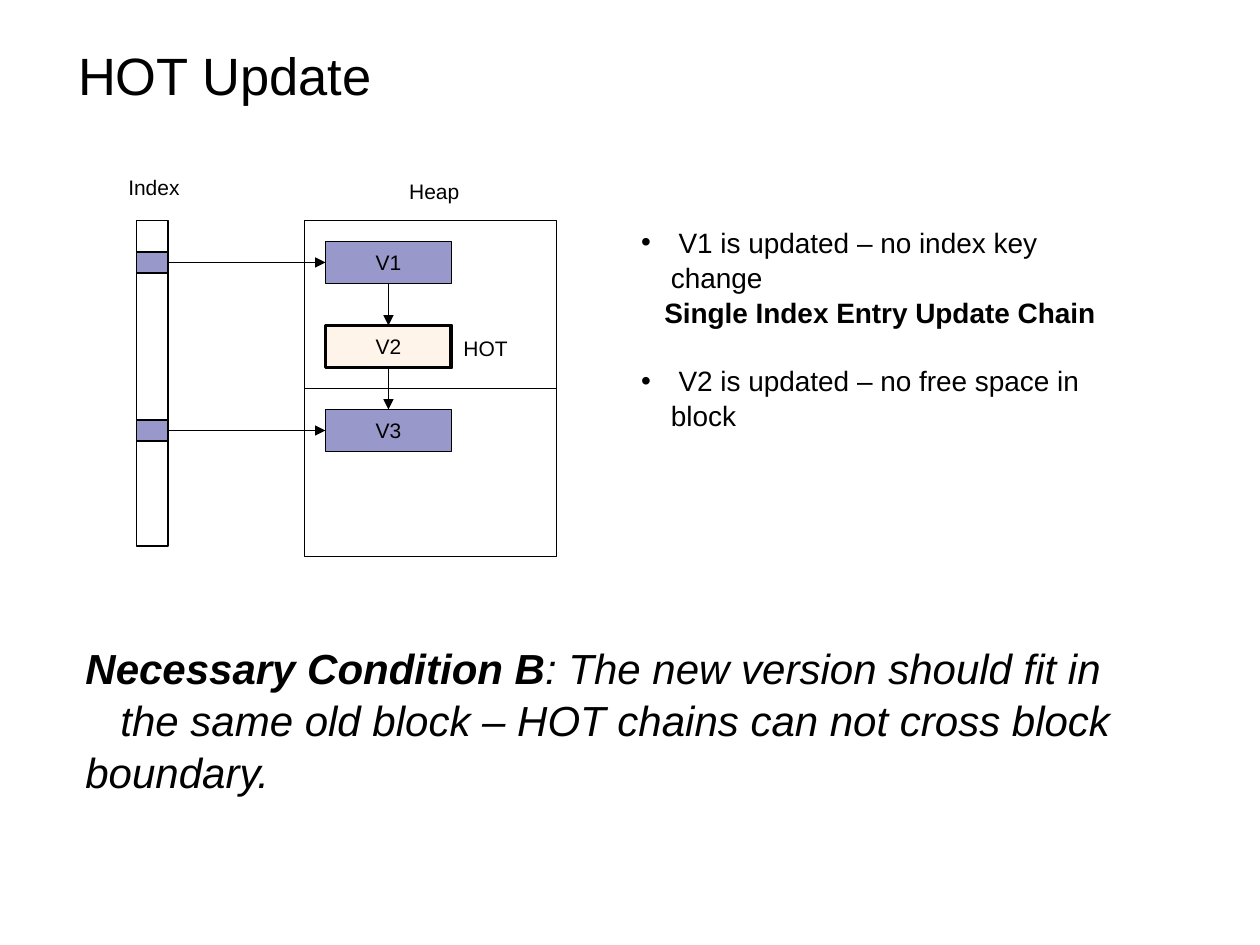
"""Builds the HOT Update slide: an index, two heap blocks and a version chain."""
import pptx
import pptx.dml.color
import pptx.enum.shapes
import pptx.enum.text
import pptx.oxml
import pptx.oxml.ns
import pptx.util
from lxml import etree

Pt = pptx.util.Pt
SHAPE = pptx.enum.shapes.MSO_SHAPE
ANCHOR = pptx.enum.text.MSO_ANCHOR
ALIGN = pptx.enum.text.PP_ALIGN
qn = pptx.oxml.ns.qn
BLACK = pptx.dml.color.RGBColor(0x00, 0x00, 0x00)
INDIGO = pptx.dml.color.RGBColor(0x33, 0x33, 0x99)
PEACH = pptx.dml.color.RGBColor(0xFF, 0xCC, 0x99)
FONT = "Arial"

TITLE = ("HOT Update", (37.5, 3.5, 461.5, 60.5))
LABELS = [
    ("Index", (66.25, 96, 44, 21.5)),
    ("Heap", (226.75, 98.75, 43, 21.5)),
    ("HOT", (257.75, 188, 39.5, 21.5)),
]
NOTES = [
    {"text": " V1 is updated – no index key change", "bullet": True},
    {"text": "Single Index Entry Update Chain", "bold": True, "left": 13.25},
    {"text": " V2 is updated – no free space in block", "bullet": True, "before": 19.25},
]
NOTES_BOX = (359.25, 124.5, 294.5, 84.25)
CONDITION = [
    "Necessary Condition B",
    ": The new version should fit in",
    "\tthe same old block – HOT chains can not cross block boundary.",
]
CONDITION_BOX = (41.75, 362.25, 600.5, 93.5)
CONDITION_TAB = 20
LINE_SPACING = 1.04

INDEX_X, INDEX_W, INDEX_H = 78, 18, 186
TOP = 126
HEAP_X, HEAP_W, BLOCK_H = 174, 144, 96
VERSION_X, VERSION_Y, VERSION_W, VERSION_H = 186, 138, 72, 24
VERSION_STEP = 48
ENTRY_H = 12
VERSIONS = [("V1", INDIGO, 50), ("V2", PEACH, 20), ("V3", INDIGO, 50)]
INDEXED = (0, 2)


def add_box(s, box, fill=None, alpha=100, width=0.75):
    sp = s.shapes.add_shape(SHAPE.RECTANGLE, *map(Pt, box))
    sp.shadow.inherit = False
    sp.line.color.rgb = BLACK
    sp.line.width = Pt(width)
    if fill is None:
        sp.fill.background()
    else:
        sp.fill.solid()
        sp.fill.fore_color.rgb = fill
        color = sp.fill._xPr.find(".//" + qn("a:srgbClr"))
        etree.SubElement(color, qn("a:alpha"), val=str(alpha * 1000))
    return sp


def add_arrow(s, start, start_side, end, end_side):
    c = s.shapes.add_connector(pptx.enum.shapes.MSO_CONNECTOR.STRAIGHT, 0, 0, 0, 0)
    c.begin_connect(start, start_side)
    c.end_connect(end, end_side)
    c.line.color.rgb = BLACK
    c.line.width = Pt(0.75)
    etree.SubElement(c.line._get_or_add_ln(), qn("a:tailEnd"), type="triangle")
    etree.SubElement(c._element.spPr, qn("a:effectLst"))


def style(r, size, bold=False, italic=False):
    r.font.name = FONT
    r.font.size = Pt(size)
    r.font.bold = bold
    r.font.italic = italic
    r.font.color.rgb = BLACK


def add_text(s, text, box, size, wrap=True, anchor=ANCHOR.TOP):
    tf = s.shapes.add_textbox(*map(Pt, box)).text_frame
    tf.word_wrap = wrap
    tf.vertical_anchor = anchor
    tf.text = text
    for p in tf.paragraphs:
        for r in p.runs:
            style(r, size)
    return tf


def add_bullet(p):
    pPr = p._p.get_or_add_pPr()
    pPr.set("marL", str(Pt(17)))
    pPr.set("indent", str(-Pt(17)))
    color = etree.SubElement(pPr, qn("a:buClr"))
    etree.SubElement(color, qn("a:srgbClr"), val=str(BLACK))
    etree.SubElement(pPr, qn("a:buFont"), typeface=FONT)
    etree.SubElement(pPr, qn("a:buChar"), char="•")


def add_diagram(s):
    add_box(s, (INDEX_X, TOP, INDEX_W, INDEX_H))
    for i in range(2):
        add_box(s, (HEAP_X, TOP + i * BLOCK_H, HEAP_W, BLOCK_H))
    versions = []
    for i, (name, fill, alpha) in enumerate(VERSIONS):
        box = (VERSION_X, VERSION_Y + i * VERSION_STEP, VERSION_W, VERSION_H)
        sp = add_box(s, box, fill, alpha, 2.25 if name == "V2" else 0.75)
        tf = sp.text_frame
        tf.word_wrap = False
        tf.vertical_anchor = ANCHOR.MIDDLE
        tf.text = name
        tf.paragraphs[0].alignment = ALIGN.CENTER
        style(tf.paragraphs[0].runs[0], 12)
        versions.append(sp)
    for i in INDEXED:
        y = VERSION_Y + i * VERSION_STEP + (VERSION_H - ENTRY_H) / 2
        entry = add_box(s, (INDEX_X, y, INDEX_W, ENTRY_H), INDIGO, 50)
        add_arrow(s, entry, 3, versions[i], 1)
    for old, new in zip(versions, versions[1:]):
        add_arrow(s, old, 2, new, 0)


def add_notes(s):
    tf = add_text(s, "\n".join(n["text"] for n in NOTES), NOTES_BOX, 16)
    for p, note in zip(tf.paragraphs, NOTES):
        if note.get("bullet"):
            add_bullet(p)
        else:
            p._p.get_or_add_pPr().set("marL", str(Pt(note["left"])))
        p.line_spacing = LINE_SPACING
        p.space_before = Pt(note.get("before", 0))
        p.runs[0].font.bold = note.get("bold", False)


def add_condition(s):
    lead, first, second = CONDITION
    p = add_text(s, lead, CONDITION_BOX, 24).paragraphs[0]
    tabs = etree.SubElement(p._p.get_or_add_pPr(), qn("a:tabLst"))
    etree.SubElement(tabs, qn("a:tab"), pos=str(Pt(CONDITION_TAB)), algn="l")
    p.line_spacing = LINE_SPACING
    p.add_run().text = first
    p.add_line_break()
    p.add_run().text = second
    for i, r in enumerate(p.runs):
        style(r, 24, bold=i == 0, italic=True)


def main():
    prs = pptx.Presentation()
    prs.slide_width, prs.slide_height = Pt(720), Pt(540)
    s = prs.slides.add_slide(prs.slide_layouts[6])
    add_text(s, *TITLE, 30, anchor=ANCHOR.BOTTOM)
    add_diagram(s)
    for text, box in LABELS:
        add_text(s, text, box, 12, wrap=False)
    add_notes(s)
    add_condition(s)
    prs.save("out.pptx")


if __name__ == "__main__":
    main()
